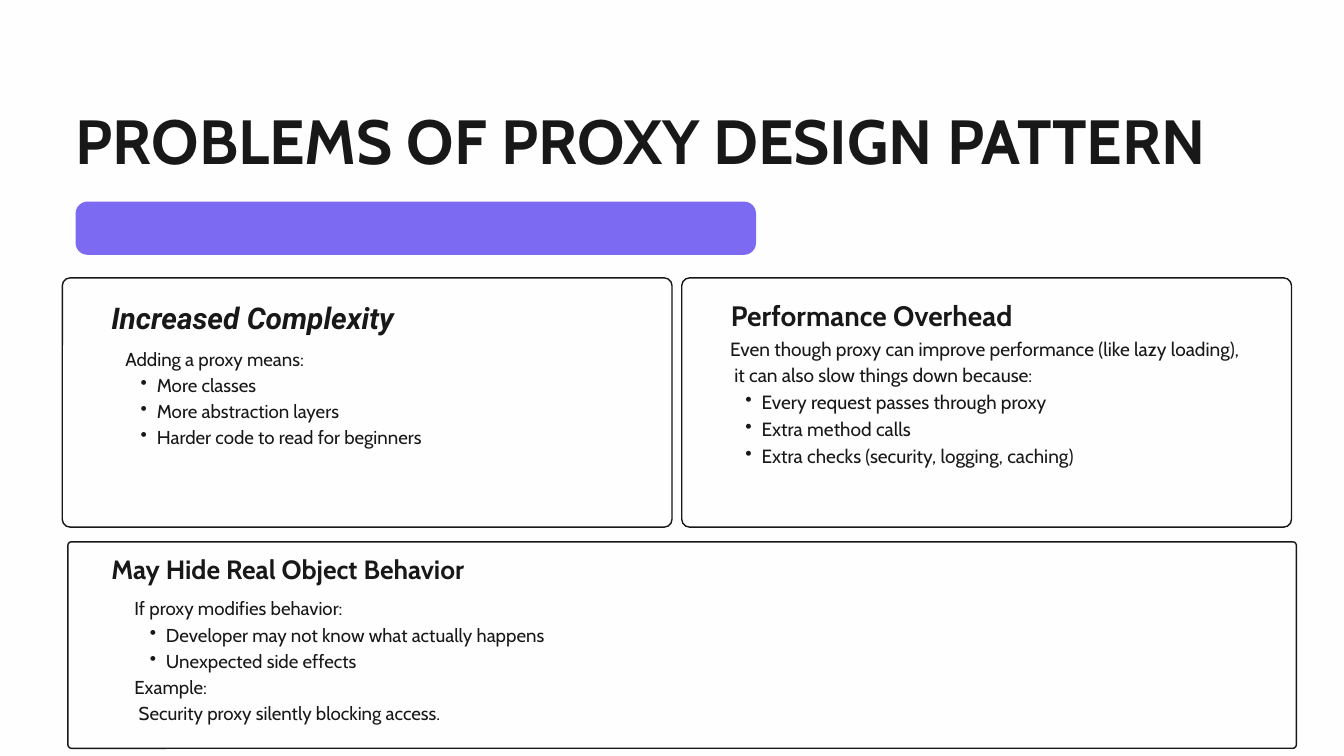
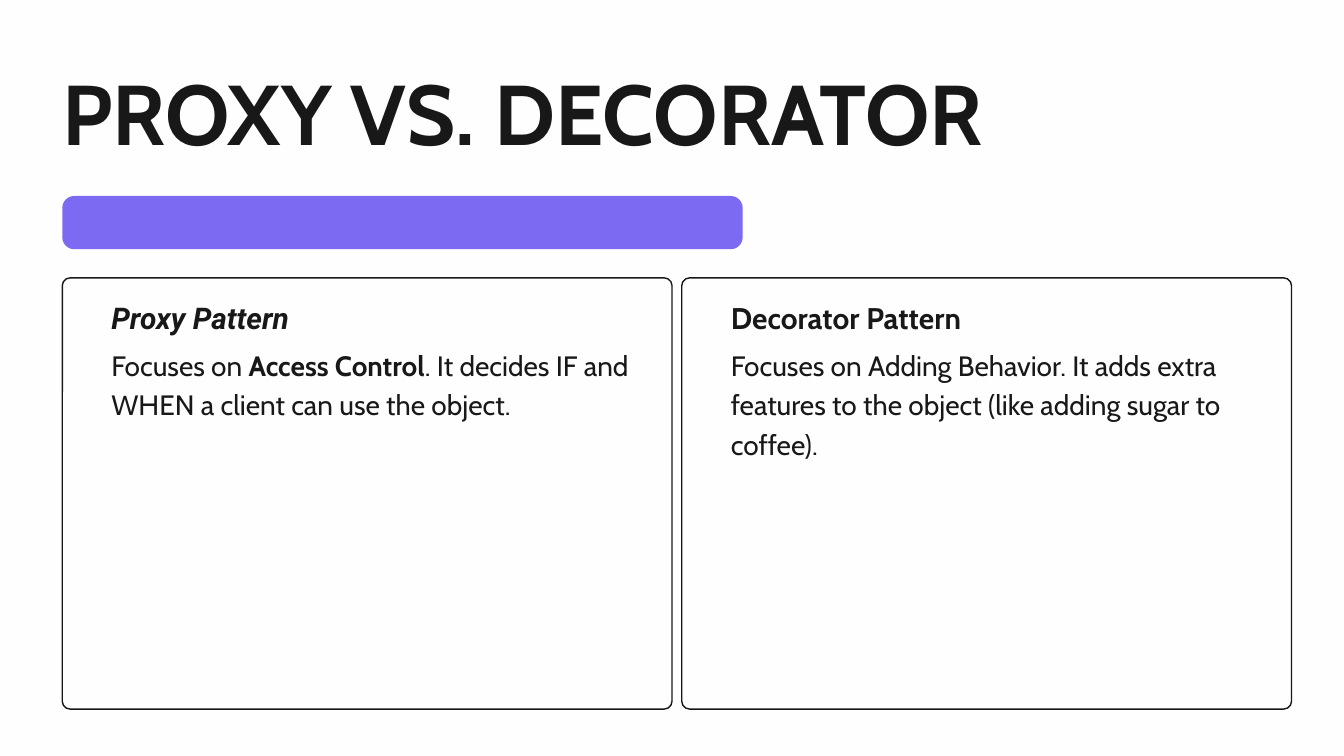
from dataclasses import dataclass

from lxml import etree
from pptx import Presentation
from pptx import util as u
from pptx.dml.color import RGBColor
from pptx.enum import shapes, text
from pptx.oxml.ns import qn

PX = 9525


@dataclass(frozen=True)
class Theme:
    paper: str = "FEFEFE"
    ink: str = "181818"
    accent: str = "7C6AF2"
    font: str = "Cabin"
    accent_font: str = "Roboto"
    heading: float = 32
    overhead_heading: float = 30.1
    behavior_heading: float = 28.3
    large: float = 30
    medium: float = 20.5
    small: float = 20
    title_leading: float = 1
    leading: float = 1.4
    outline: float = 1.5


THEME = Theme()
CARD_LEFTS = (89, 974)
CARD_TOP, CARD_WIDTH = 397, 871
HEADING_LEFTS = (159, 1044)
HEADING_TOP = 419


def px(*values):
    return [u.Emu(v * PX) for v in values]


class Deck:
    def __init__(self, theme):
        self.theme = theme
        self.prs = Presentation()
        self.prs.slide_width, self.prs.slide_height = px(1920, 1080)
        self.fill(self.prs.slide_master.background.fill, theme.paper)
        self.slide = None

    def fill(self, fill, color):
        fill.solid()
        fill.fore_color.rgb = RGBColor.from_string(color)

    def add_slide(self):
        self.slide = self.prs.slides.add_slide(self.prs.slide_layouts[5])

    def prepare(self, tf):
        tf.margin_left = tf.margin_top = tf.margin_right = tf.margin_bottom = 0
        tf.word_wrap = True
        tf.vertical_anchor = text.MSO_ANCHOR.TOP
        tf.auto_size = text.MSO_AUTO_SIZE.SHAPE_TO_FIT_TEXT

    def style(self, p, size, leading, font=None, bold=False, italic=False):
        p.alignment = text.PP_ALIGN.LEFT
        p.space_before = u.Pt(0)
        p.line_spacing = u.Pt(round(size * leading, 1))
        for r in p.runs:
            r.font.name = font or self.theme.font
            r.font.size = u.Pt(size)
            r.font.bold = bold or bool(r.font.bold)
            r.font.italic = italic
            r.font.color.rgb = RGBColor.from_string(self.theme.ink)

    def title(self, words, left, top, height, size):
        sp = self.slide.shapes.title
        sp.left, sp.top, sp.width, sp.height = px(left, top, 1831, height)
        self.prepare(sp.text_frame)
        sp.text_frame.text = words
        self.style(sp.text_frame.paragraphs[0], size,
                   self.theme.title_leading, bold=True)

    def rounded(self, left, top, width, height, radius, color):
        sp = self.slide.shapes.add_shape(
            shapes.MSO_SHAPE.ROUNDED_RECTANGLE, *px(left, top, width, height))
        sp.adjustments[0] = radius / min(width, height)
        sp.shadow.inherit = False
        self.fill(sp.fill, color)
        return sp

    def bar(self, left, top):
        self.rounded(left, top, 972, 76, 17, self.theme.accent).line.fill.background()

    def card(self, left, top, width, height, radius=11):
        sp = self.rounded(left, top, width, height, radius, self.theme.paper)
        sp.line.color.rgb = RGBColor.from_string(self.theme.ink)
        sp.line.width = u.Pt(self.theme.outline)

    def card_pair(self, height):
        for left in CARD_LEFTS:
            self.card(left, CARD_TOP, CARD_WIDTH, height)

    def textbox(self, left, top, width, height):
        tf = self.slide.shapes.add_textbox(*px(left, top, width, height)).text_frame
        self.prepare(tf)
        return tf

    def heading(self, words, left, top, size, font=None, italic=False, width=732):
        tf = self.textbox(left, top, width, 57)
        tf.text = words
        self.style(tf.paragraphs[0], size, self.theme.leading, font, True, italic)

    def indent(self, p, margin, hanging=0, bullet=None):
        pPr = p._p.get_or_add_pPr()
        pPr.set("marL", str(margin * PX))
        pPr.set("indent", str(-hanging * PX))
        if bullet:
            etree.SubElement(pPr, qn("a:buChar")).set("char", bullet)

    def body(self, lines, left, top, width, height, size):
        tf = self.textbox(left, top, width, height)
        for i, line in enumerate(lines):
            p = tf.paragraphs[0] if i == 0 else tf.add_paragraph()
            marker, words = line if isinstance(line, tuple) else ("", line)
            if marker == "bullet":
                p.level = 1
                self.indent(p, 45, 23, "•")
            elif marker == "inset":
                self.indent(p, 6)
            for n, part in enumerate(words.split("**")):
                r = p.add_run()
                r.text = part
                r.font.bold = n % 2 == 1
            self.style(p, size, self.theme.leading)


def bullets(*items):
    return [("bullet", item) for item in items]


def problems(deck):
    t = deck.theme
    deck.add_slide()
    deck.bar(108, 288)
    deck.title("PROBLEMS OF PROXY DESIGN PATTERN", 108, 164, 93, 66.8)
    deck.card_pair(356)
    deck.card(97, 774, 1755, 295, 5)

    deck.heading("Increased Complexity", HEADING_LEFTS[0], HEADING_TOP,
                 t.heading, t.accent_font, True)
    deck.body(["Adding a proxy means:",
               *bullets("More classes", "More abstraction layers",
                        "Harder code to read for beginners")],
              179, 491, 711, 184, t.small)

    deck.heading("Performance Overhead", HEADING_LEFTS[1], HEADING_TOP,
                 t.overhead_heading)
    deck.body(["Even though proxy can improve performance (like lazy loading),",
               ("inset", "it can also slow things down because:"),
               *bullets("Every request passes through proxy", "Extra method calls",
                        "Extra checks (security, logging, caching)")],
              1043, 476, 802, 266, t.medium)

    deck.heading("May Hide Real Object Behavior", HEADING_LEFTS[0], 783,
                 t.behavior_heading, width=1303)
    deck.body(["If proxy modifies behavior:",
               *bullets("Developer may not know what actually happens",
                        "Unexpected side effects"),
               "Example:",
               ("inset", "Security proxy silently blocking access.")],
              192, 848, 1565, 222, t.small)


def comparison(deck):
    t = deck.theme
    deck.add_slide()
    deck.bar(89, 280)
    deck.title("PROXY VS. DECORATOR", 89, 111, 126, 90.8)
    deck.card_pair(616)
    patterns = (
        ("Proxy Pattern", t.accent_font, True,
         "Focuses on **Access Control**. It decides IF and WHEN a client "
         "can use the object."),
        ("Decorator Pattern", t.font, False,
         "Focuses on Adding Behavior. It adds extra features to the object "
         "(like adding sugar to coffee)."),
    )
    for left, (name, font, italic, focus) in zip(HEADING_LEFTS, patterns):
        deck.heading(name, left, HEADING_TOP, t.heading, font, italic)
        deck.body([focus], left, 490, 755, 166, t.large)


def main():
    deck = Deck(THEME)
    problems(deck)
    comparison(deck)
    deck.prs.save("out.pptx")


if __name__ == "__main__":
    main()
